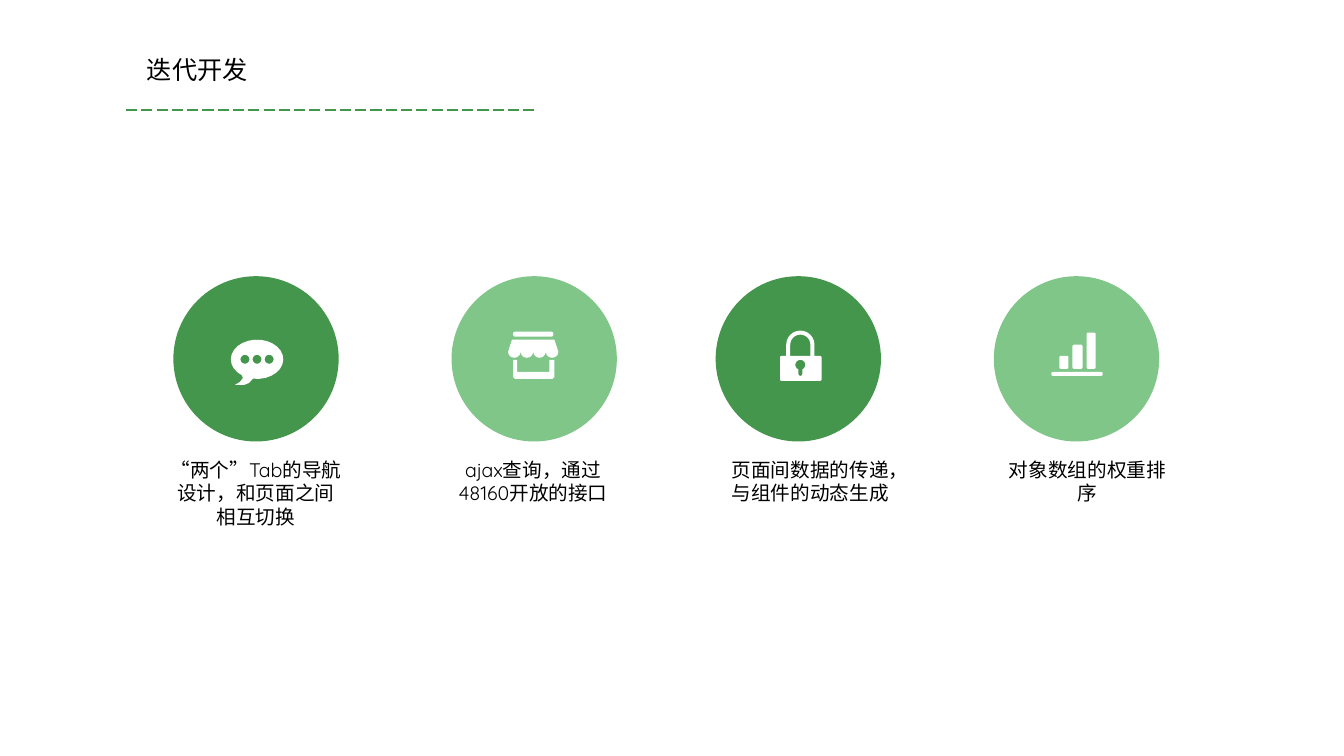
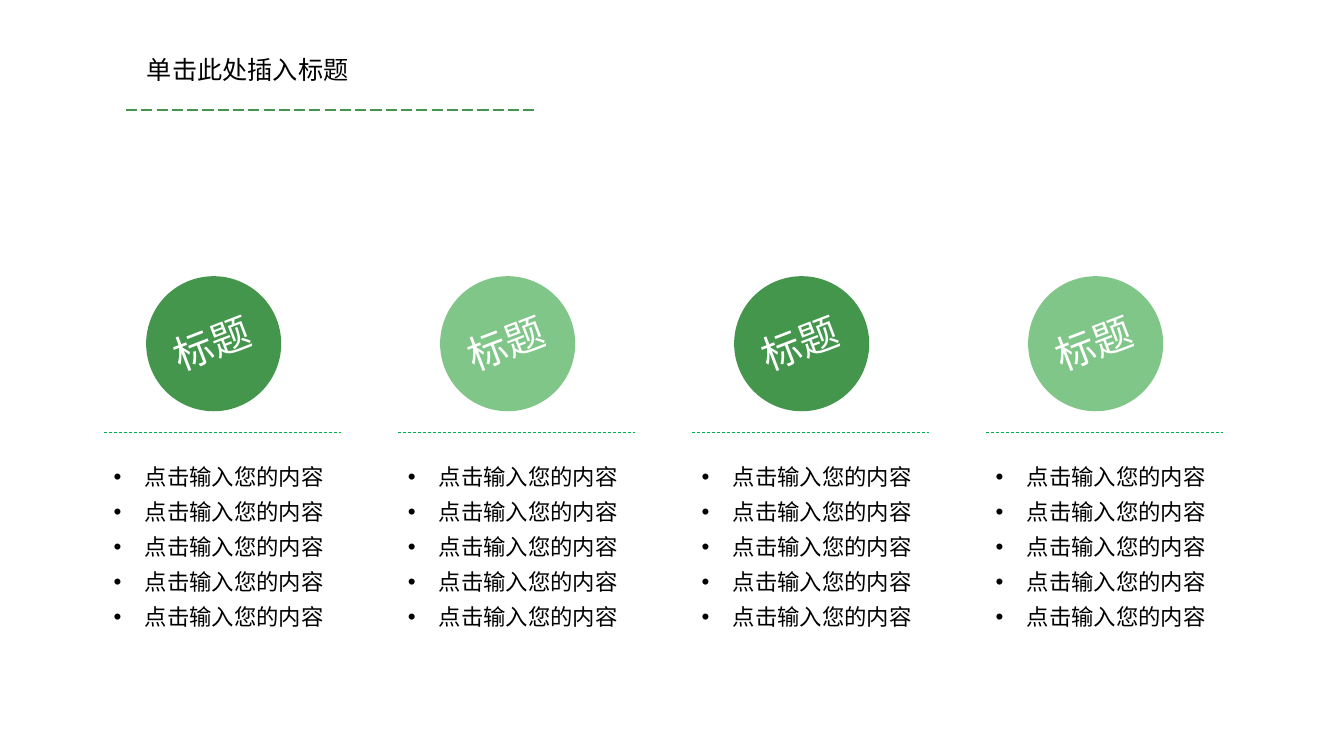
from dataclasses import dataclass
from itertools import groupby
from math import cos, radians, sin

from lxml import etree
from pptx import Presentation
from pptx.dml.color import RGBColor
from pptx.enum.dml import MSO_LINE
from pptx.enum.shapes import MSO_CONNECTOR, MSO_SHAPE
from pptx.enum.text import MSO_AUTO_SIZE, PP_ALIGN
from pptx.oxml.ns import qn
from pptx.util import Inches, Pt

OVAL = MSO_SHAPE.OVAL
STRAIGHT = MSO_CONNECTOR.STRAIGHT
LONG_DASH, DASH = MSO_LINE.LONG_DASH, MSO_LINE.DASH
LEFT, CENTER = PP_ALIGN.LEFT, PP_ALIGN.CENTER
GROW = MSO_AUTO_SIZE.SHAPE_TO_FIT_TEXT


@dataclass(frozen=True)
class Theme:
    dark: str = "43964C"
    light: str = "80C688"
    rule: str = "00B050"
    ink: str = "000000"
    white: str = "FFFFFF"
    cjk: str = "Noto Sans CJK SC"
    latin: str = "Quicksand"
    title: int = 18
    caption: int = 14
    badge: int = 28
    bullet: int = 16


THEME = Theme()

# Content: circle left edge, icon, caption
ITERATION_TITLE = "迭代开发"
FEATURES = [
    (1.72, "chat", "“两个”Tab的导航设计，和页面之间相互切换"),
    (4.48, "shop", "ajax查询，通过48160开放的接口"),
    (7.10, "lock", "页面间数据的传递，与组件的动态生成"),
    (9.86, "chart", "对象数组的权重排序"),
]
TOPICS_TITLE = "单击此处插入标题"
TOPICS = [("标题", ["点击输入您的内容"] * 5)] * 4

# Layout in inches
CIRCLE_TOP, TEXT_TOP = 2.74, 4.47
FEATURE_CIRCLE, CAPTION_LEFT, CAPTION_PITCH = 1.64, 1.56, 2.75
TOPIC_CIRCLE, TOPIC_LEFT, TOPIC_LAST = 1.34, 1.03, 9.78
TOPIC_PITCH = (TOPIC_LAST - TOPIC_LEFT) / (len(TOPICS) - 1)


# Icon outlines, in hundredths of an inch from the circle centre
def arc(cx, cy, rx, ry, start=0, end=360, steps=12):
    angles = [radians(start + (end - start) * i / steps) for i in range(steps + 1)]
    return [(cx + rx * cos(a), cy + ry * sin(a)) for a in angles]


def rounded_box(left, top, right, bottom, radius=1.5):
    corners = [(right - radius, bottom - radius), (left + radius, bottom - radius),
               (left + radius, top + radius), (right - radius, top + radius)]
    return [point for i, (cx, cy) in enumerate(corners)
            for point in arc(cx, cy, radius, radius, 90 * i, 90 * i + 90, 2)]


def scallops():
    return [point for cx in (17.75, 5.25, -7.25, -19.75)
            for point in arc(cx, -7, 6.25, 6, 0, 180, 6)]


ICONS = {
    "chat": [
        arc(1, 0.5, 26, 19.5, 125, 459, 24)
        + [(-7, 24), (-12, 26), (-21, 26), (-16, 23), (-13, 19)],
        *(arc(x, 0.5, 4.5, 4.5) for x in (-11, 1, 13)),
    ],
    "shop": [
        [(-22, -19), (20, -19)] + scallops(),
        rounded_box(-21, -27, 19, -22, 2),
        [(-21, 1), (-17, 1), (-17, 13), (15, 13), (15, 1), (20, 1),
         (20, 18), (18, 20), (-19, 20), (-21, 18)],
    ],
    "lock": [
        [(-18, -2), (-17, -3), (-12, -3)] + arc(2, -14, 14, 14, 180, 360)
        + [(16, -3), (22, -3), (23, -2), (23, 21), (22, 22), (-17, 22), (-18, 21)],
        arc(2, -14, 10, 10, 180, 360) + [(12, -3), (-8, -3)],
        arc(2, 6, 5, 5, 113, 427) + arc(2, 15, 2, 2, 0, 180, 4),
    ],
    "chart": [
        rounded_box(-25, 13, 26, 17),
        rounded_box(-17, -3, -8, 10),
        rounded_box(-4, -14, 6, 10),
        rounded_box(10, -26, 19, 10),
    ],
}


# Drawing helpers
def paint(shape, color):
    shape.shadow.inherit = False
    shape.fill.solid()
    shape.fill.fore_color.rgb = RGBColor.from_string(color)
    shape.line.fill.background()


def add_circle(slide, left, size, index):
    circle = slide.shapes.add_shape(
        OVAL, *map(Inches, (left, CIRCLE_TOP, size, size)))
    paint(circle, THEME.light if index % 2 else THEME.dark)


def add_icon(slide, icon, cx, cy):
    outlines = [[(Inches(cx + x / 100), Inches(cy + y / 100)) for x, y in outline]
                for outline in ICONS[icon]]
    builder = slide.shapes.build_freeform(*outlines[0][0], scale=1.0)
    builder.add_line_segments(outlines[0][1:], close=True)
    for outline in outlines[1:]:
        builder.move_to(*outline[0])
        builder.add_line_segments(outline[1:], close=True)
    paint(builder.convert_to_shape(), THEME.white)


def add_rule(slide, left, right, y, color, width, dash):
    rule = slide.shapes.add_connector(
        STRAIGHT, *map(Inches, (left, y, right, y)))
    rule.line.color.rgb = RGBColor.from_string(color)
    rule.line.width = Pt(width)
    rule.line.dash_style = dash
    etree.SubElement(rule._element.spPr, qn("a:effectLst"))


def is_quote(letter):
    return letter in "“”"


def add_text(slide, box, lines, size, color=THEME.ink, face=THEME.cjk,
             align=LEFT, frame_format=None, paragraph_format=None):
    holder = slide.shapes.add_textbox(*map(Inches, box))
    frame = holder.text_frame
    for name, value in {"word_wrap": True, **(frame_format or {})}.items():
        setattr(frame, name, value)
    for i, line in enumerate(lines):
        paragraph = frame.add_paragraph() if i else frame.paragraphs[0]
        for name, value in {"alignment": align, **(paragraph_format or {})}.items():
            setattr(paragraph, name, value)
        # Quotation marks take the full-width CJK face
        for quote, letters in groupby(line, is_quote):
            run = paragraph.add_run()
            run.text = "".join(letters)
            run_face = THEME.cjk if quote else face
            for name, value in {"size": Pt(size), "name": run_face}.items():
                setattr(run.font, name, value)
            run.font.color.rgb = RGBColor.from_string(color)
            props = run._r.get_or_add_rPr()
            props.set("lang", "zh-CN")
            etree.SubElement(props, qn("a:ea"), typeface=THEME.cjk)
    return holder


def add_bullets(holder):
    for paragraph in holder.text_frame.paragraphs:
        props = paragraph._p.get_or_add_pPr()
        props.set("marL", str(Inches(0.31)))
        props.set("indent", str(-Inches(0.31)))
        etree.SubElement(props, qn("a:buFont"), typeface="Arial")
        etree.SubElement(props, qn("a:buChar"), char="•")


def add_titled_slide(prs, title):
    slide = prs.slides.add_slide(prs.slide_layouts[6])
    add_text(slide, (1.36, 0.49, 3.97, 0.4), [title], THEME.title,
             frame_format={"auto_size": GROW})
    add_rule(slide, 1.25, 5.33, 1.09, THEME.dark, 1, LONG_DASH)
    return slide


# Slides
def build_iteration(prs):
    slide = add_titled_slide(prs, ITERATION_TITLE)
    insets = {"margin_left": Inches(0.13), "margin_right": Inches(0.13),
              "margin_top": Inches(0.07), "margin_bottom": Inches(0.07)}
    spacing = {"space_before": Pt(3), "line_spacing": Pt(16.8)}
    radius = FEATURE_CIRCLE / 2
    for i, (left, icon, caption) in enumerate(FEATURES):
        add_circle(slide, left, FEATURE_CIRCLE, i)
        add_icon(slide, icon, left + radius, CIRCLE_TOP + radius)
        add_text(slide, (CAPTION_LEFT + i * CAPTION_PITCH, TEXT_TOP, 1.96, 0.98),
                 [caption], THEME.caption, face=THEME.latin, align=CENTER,
                 frame_format=insets, paragraph_format=spacing)


def build_topics(prs):
    slide = add_titled_slide(prs, TOPICS_TITLE)
    for i, (badge, points) in enumerate(TOPICS):
        left = TOPIC_LEFT + i * TOPIC_PITCH
        add_circle(slide, left + 0.42, TOPIC_CIRCLE, i)
        label = add_text(slide, (left + 0.38, 3.12, 1.38, 0.57), [badge],
                         THEME.badge, THEME.white, align=CENTER,
                         frame_format={"auto_size": GROW})
        label.rotation = 338.9
        add_rule(slide, left, left + 2.35, 4.29, THEME.rule, 0.5, DASH)
        add_bullets(add_text(slide, (left, TEXT_TOP, 2.52, 1.85), points,
                             THEME.bullet, frame_format={"auto_size": GROW},
                             paragraph_format={"line_spacing": 1.3}))


def main():
    prs = Presentation()
    prs.slide_height = Inches(7.5)
    prs.slide_width = prs.slide_height * 16 // 9
    build_iteration(prs)
    build_topics(prs)
    prs.save("out.pptx")


if __name__ == "__main__":
    main()
